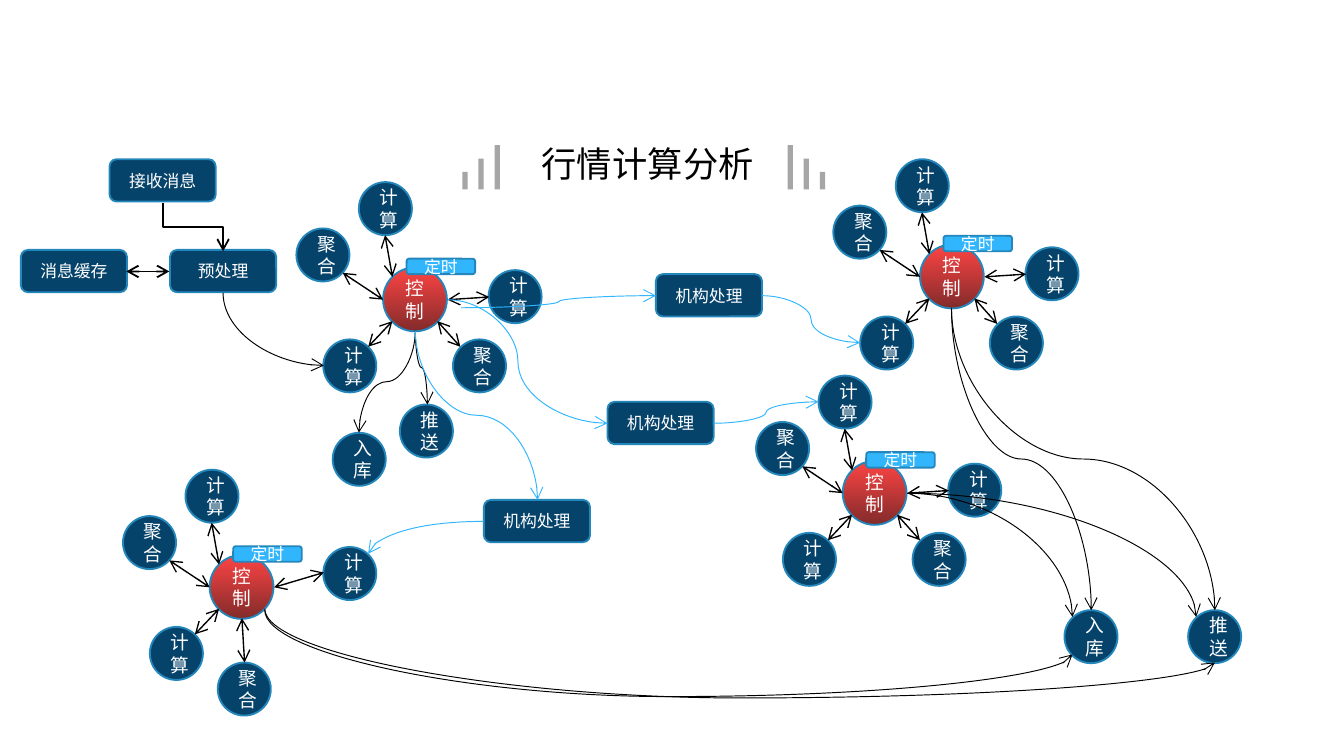
"""Draw the market data flow slide on a grid of tenth-inch cells."""
import pptx
import pptx.dml.color
import pptx.enum.shapes
import pptx.enum.text
import pptx.oxml.ns
import pptx.util
from lxml import etree

HUES = {"navy": "06436B", "edge": "2487BB", "sky": "31B6FD", "red": "FE4444",
        "wine": "832B2B", "gray": "A6A6A6", "black": "000000", "white": "FFFFFF"}
FORMS = pptx.enum.shapes.MSO_SHAPE
KINDS = pptx.enum.shapes.MSO_CONNECTOR
qn = pptx.oxml.ns.qn


def cell(count):
    return pptx.util.Inches(count / 10)


def hue(name):
    return pptx.dml.color.RGBColor.from_string(HUES[name])


def write(frame, text, size=10, color="white", font="Calibri", space=None):
    frame.text = text
    para = frame.paragraphs[0]
    para.alignment = pptx.enum.text.PP_ALIGN.CENTER
    para.line_spacing = space
    face = para.runs[0].font
    face.size, face.name = pptx.util.Pt(size), font
    face.color.rgb = hue(color)


class Chart:
    def __init__(self, slide):
        self.slide = slide

    def title(self, text, x, y, wide, high):
        head = self.slide.shapes.title
        head.left, head.top, head.width, head.height = map(cell, (x, y, wide, high))
        frame = head.text_frame
        frame.word_wrap = True
        frame.auto_size = pptx.enum.text.MSO_AUTO_SIZE.NONE
        frame.vertical_anchor = pptx.enum.text.MSO_ANCHOR.BOTTOM
        frame.margin_left = frame.margin_right = cell(0.7)
        frame.margin_top = frame.margin_bottom = cell(0.4)
        write(frame, text, 18.9, "black", "Arial", 1.2)

    def shape(self, form, x, y, wide, high, fill="navy", edge="edge", text="", size=10):
        item = self.slide.shapes.add_shape(form, *map(cell, (x, y, wide, high)))
        item.shadow.inherit = False
        if fill == "red":
            item.fill.gradient()
            item.fill.gradient_angle = 270
            for stop, name, place in zip(item.fill.gradient_stops, ("red", "wine"), (0, 1)):
                stop.color.rgb, stop.position = hue(name), place
        else:
            item.fill.solid()
            item.fill.fore_color.rgb = hue(fill)
        if edge:
            item.line.color.rgb = hue(edge)
            item.line.width = pptx.util.Pt(1)
        else:
            item.line.fill.background()
        if text:
            item.text_frame.vertical_anchor = pptx.enum.text.MSO_ANCHOR.MIDDLE
            write(item.text_frame, text, size)

    def node(self, text, x, y):
        self.shape(FORMS.OVAL, x, y, 3.95, 3.95, text=text)

    def box(self, text, x, y):
        self.shape(FORMS.FLOWCHART_ALTERNATE_PROCESS, x, y, 7.9, 3.15, text=text, size=9)

    def link(self, x1, y1, x2, y2, kind=KINDS.STRAIGHT, color="black", width=0.75,
             both=False, down=False, bend=None, preset=None):
        ends = x1, y1, x2, y2
        if down:
            midx, midy = (x1 + x2) / 2, (y1 + y2) / 2
            wide, high = (y2 - y1) / 2, (x2 - x1) / 2
            ends = midx - wide, midy + high, midx + wide, midy - high
        line = self.slide.shapes.add_connector(kind, *map(cell, ends))
        line.line.color.rgb = hue(color)
        line.line.width = pptx.util.Pt(width)
        props = line._element.spPr
        if down:
            props.find(qn("a:xfrm")).set("rot", "5400000")
        form = props.find(qn("a:prstGeom"))
        if preset:
            form.set("prst", preset)
        if bend:
            etree.SubElement(form.find(qn("a:avLst")), qn("a:gd"), name="adj1",
                             fmla=f"val {round(bend * 100000)}")
        for tag in ("a:headEnd", "a:tailEnd") if both else ("a:tailEnd",):
            etree.SubElement(props.find(qn("a:ln")), qn(tag), type="arrow")
        etree.SubElement(props, qn("a:effectLst"))

    def curve(self, *ends, **style):
        self.link(*ends, kind=KINDS.CURVE, width=0.5, **style)

    def arc(self, *ends, **style):
        self.curve(*ends, preset="curvedConnector2", **style)

    def hub(self, x, y, spokes):
        self.shape(FORMS.OVAL, x, y, 4.75, 4.75, "red", text="控制")
        for text, left, top, x1, y1, x2, y2 in spokes:
            self.node(text, x + left, y + top)
            self.link(x + x1, y + y1, x + x2, y + y2, both=True)
        self.shape(FORMS.ROUNDED_RECTANGLE, x + 1.75, y - 0.65, 5.1, 1.15, "sky",
                   text="定时", size=9)


deck = pptx.Presentation()
deck.slide_width, deck.slide_height = cell(100), cell(56.25)
chart = Chart(deck.slides.add_slide(deck.slide_layouts[5]))
chart.title("行情计算分析", 37.15, 9.15, 22.1, 5)

for step in range(3):
    for x in (36.8 - 1.2 * step, 58.6 + 1.2 * step):
        chart.shape(FORMS.RECTANGLE, x, 10.8 + step, 0.4, 3.3 - step, "gray", None)

shared = [("聚合", -6.45, -2.9, -3, 0.4, 0, 2.4),
          ("计算", -1.8, -6.35, 0.7, 0.7, 0.15, -2.4),
          ("计算", -4.45, 5.35, -1.1, 5.9, 0.7, 4)]
near = [("计算", 7.85, 0.2, 4.8, 2.4, 7.9, 2.2),
        ("聚合", 5.2, 5.35, 4.05, 4, 5.75, 5.9)]
far = [("计算", 8.45, -0.6, 4.8, 2.4, 8.5, 1.3),
       ("聚合", 0.6, 8, 2.4, 4.7, 2.6, 8)]
for x, y, spokes in [(28.5, 19.9, near), (68.45, 18.2, near),
                     (62.7, 34.3, near), (15.6, 41.3, far)]:
    chart.hub(x, y, shared + spokes)

for text, x, y in [("接收消息", 8.15, 11.85), ("预处理", 12.65, 18.6), ("消息缓存", 1.55, 18.6),
                   ("机构处理", 48.8, 20.4), ("机构处理", 45.2, 29.9), ("机构处理", 36, 37.2)]:
    chart.box(text, x, y)
for text, x, y in [("入库", 24.75, 32.2), ("推送", 29.75, 30.1),
                   ("入库", 79.2, 45.4), ("推送", 88.4, 45.4)]:
    chart.node(text, x, y)

chart.link(12.1, 15.1, 16.6, 18.7, kind=KINDS.ELBOW, width=1, down=True, bend=0.5)
chart.link(9.4, 20.2, 12.6, 20.2, width=1, both=True)
chart.arc(16.6, 21.8, 24.1, 27.2, down=True)

for ends, bend in [((30.9, 24.6, 26.7, 32.2), 0.5), ((30.9, 24.6, 31.8, 30.1), 0.5),
                   ((70.8, 22.9, 81.2, 45.4), 0.5), ((70.8, 22.9, 90.4, 45.4), 0.5),
                   ((19.7, 45.4, 79.8, 48.7), 1.95), ((19.7, 45.3, 90.4, 49.3), 1.66)]:
    chart.curve(*ends, down=True, bend=bend)
for x in (79.8, 89):
    chart.arc(67.5, 36.7, x, 45.9)

chart.curve(30.9, 24.6, 40, 37.2, color="sky", down=True, bend=0.5)
for ends, bend in [((34.3, 22.9, 48.8, 22), 0.5), ((33.3, 22.3, 45.2, 31.5), 0.44),
                   ((56.7, 22, 64, 25.5), 0.5), ((53.1, 31.5, 60.9, 29.9), 0.5)]:
    chart.curve(*ends, color="sky", bend=bend)
chart.arc(36, 38.8, 27.4, 41.2, color="sky")

deck.save("out.pptx")
